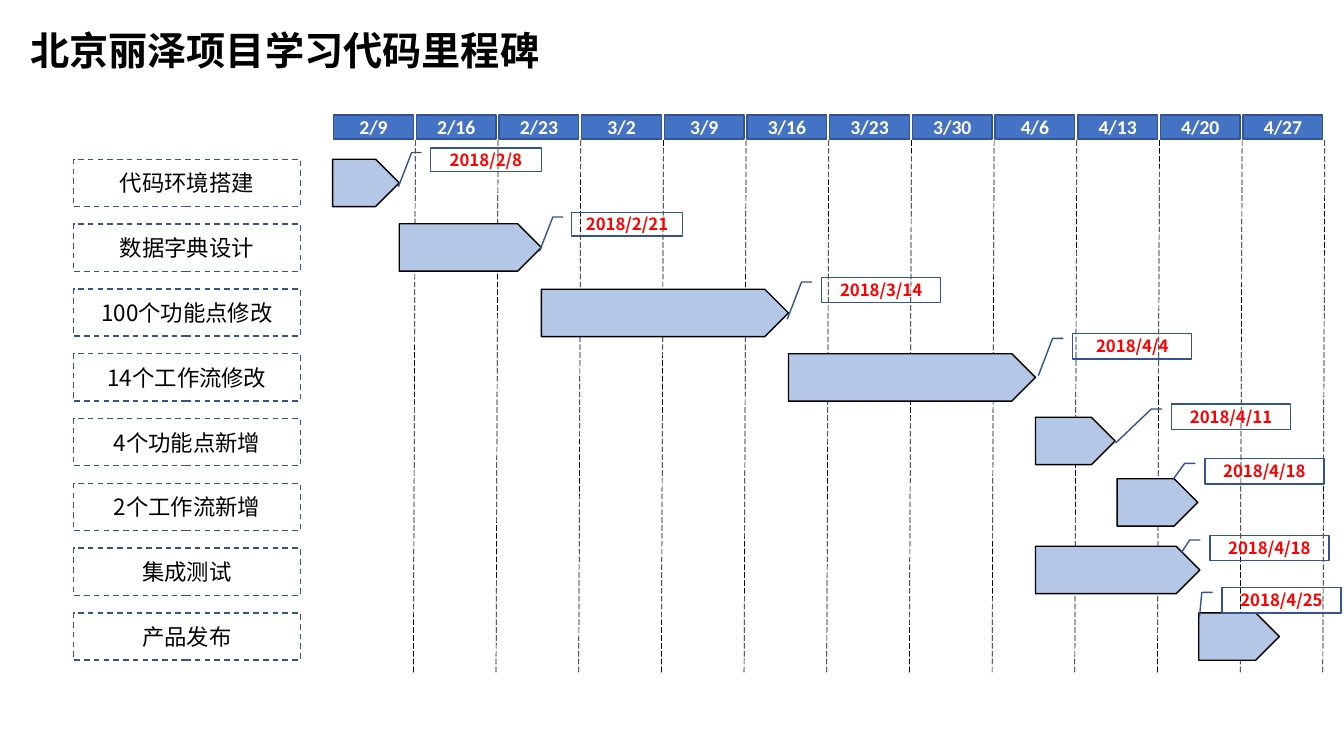
"""Draw the milestone chart of the code study project."""
from dataclasses import dataclass

from lxml.etree import SubElement as Sub
from pptx import Presentation
from pptx.dml.color import RGBColor as Rgb
from pptx.enum.dml import MSO_LINE as Dash
from pptx.enum.shapes import MSO_CONNECTOR as Link, MSO_SHAPE as Kind
from pptx.enum.text import MSO_ANCHOR as Anchor, PP_ALIGN as Align
from pptx.oxml.ns import qn
from pptx.util import Inches, Pt

INK = {"black": "000000", "white": "FFFFFF", "head": "4472C4",
       "edge": "325491", "bar": "B4C7E7", "date": "FF0000"}
SANS = "Noto Sans CJK SC"
WEEKS = ["2/9", "2/16", "2/23", "3/2", "3/9", "3/16",
         "3/23", "3/30", "4/6", "4/13", "4/20", "4/27"]
PITCH = 0.82
ROW = 4.5 / 7
TALL = 0.47


@dataclass
class Task:
    """Hold one task: its bar, its date note and the tip of the note's line."""
    name: str
    left: float
    top: float
    width: float
    date: str
    note: tuple[float, float]
    tip: tuple[float, float] = (1.67, -0.29)
    size: tuple[float, float] = (1.18, 0.25)


TASKS = [
    Task("代码环境搭建", 3.3, 1.58, 0.66, "2018/2/8", (4.27, 1.47), size=(1.1, 0.23)),
    Task("数据字典设计", 3.96, 2.22, 1.41, "2018/2/21", (5.67, 2.11), size=(1.1, 0.23)),
    Task("100个功能点修改", 5.37, 2.87, 2.45, "2018/3/14", (8.15, 2.75)),
    Task("14个工作流修改", 7.82, 3.51, 2.45, "2018/4/4", (10.64, 3.31)),
    Task("4个功能点新增", 10.27, 4.14, 0.79, "2018/4/11", (11.62, 4.01), (1.54, -0.47)),
    Task("2个工作流新增", 11.08, 4.75, 0.8, "2018/4/18", (11.95, 4.55), (0.84, -0.27)),
    Task("集成测试", 10.27, 5.42, 1.63, "2018/4/18", (12, 5.31), (0.69, -0.24)),
    Task("产品发布", 11.89, 6.08, 0.8, "2018/4/25", (12.12, 5.83), (1.18, -0.19)),
]


def write(shape, text: str, *, size: float, color: str = "black", font: str = SANS,
          bold: bool = False, align=Align.CENTER, anchor=Anchor.MIDDLE,
          side: float = 0, space: float = 1) -> None:
    """Put one formatted line of text into a shape."""
    frame = shape.text_frame
    frame.word_wrap = True
    frame.vertical_anchor = anchor
    frame.margin_left = frame.margin_right = Inches(side)
    frame.margin_top = frame.margin_bottom = 0
    para = frame.paragraphs[0]
    para.alignment = align
    para.line_spacing = space
    run = para.add_run()
    run.text = text
    run.font.size = Pt(size)
    run.font.bold = bold
    run.font.color.rgb = Rgb.from_string(INK[color])
    run.font.name = font
    Sub(run.font._element, qn("a:ea"), typeface=font)


def draw(slide, kind: Kind, left: float, top: float, width: float, height: float,
         *, fill: str = "", line: str = "edge", dash=None):
    """Add a preset shape with its fill and outline."""
    shape = slide.shapes.add_shape(
        kind, Inches(left), Inches(top), Inches(width), Inches(height))
    shape.shadow.inherit = False
    if fill:
        shape.fill.solid()
        shape.fill.fore_color.rgb = Rgb.from_string(INK[fill])
    else:
        shape.fill.background()
    shape.line.color.rgb = Rgb.from_string(INK[line])
    shape.line.width = Pt(1)
    if dash:
        shape.line.dash_style = dash
    return shape


def rule(slide, left: float) -> None:
    """Add one dashed week line."""
    line = slide.shapes.add_connector(
        Link.STRAIGHT, Inches(left), Inches(1.39), Inches(left - 0.02), Inches(6.69))
    line.line.color.rgb = Rgb.from_string(INK["black"])
    line.line.width = Pt(0.5)
    line.line.dash_style = Dash.LONG_DASH
    Sub(line._element.spPr, qn("a:effectLst"))


def plot(slide, row: int, task: Task) -> None:
    """Draw the label, bar and date note of a task."""
    label = draw(slide, Kind.RECTANGLE, 0.73, 1.58 + row * ROW, 2.25, TALL, dash=Dash.DASH)
    write(label, task.name, size=16)
    draw(slide, Kind.PENTAGON, task.left, task.top, task.width, TALL,
         fill="bar", line="black")
    note = draw(slide, Kind.LINE_CALLOUT_2, *task.note, *task.size)
    for spot, value in enumerate((0.19, -0.08, 0.19, -0.17, *task.tip)):
        note.adjustments[spot] = value
    write(note, task.date, size=12, color="date", bold=True)


def main() -> None:
    """Build and save the slide."""
    deck = Presentation()
    deck.slide_width, deck.slide_height = Inches(13.33), Inches(7.5)
    slide = deck.slides.add_slide(deck.slide_layouts[5])
    title = slide.shapes.title
    title.left, title.top = Inches(0.2), Inches(0.31)
    title.width, title.height = Inches(8.63), Inches(0.64)
    write(title, "北京丽泽项目学习代码里程碑", size=28, bold=True, align=Align.LEFT,
          anchor=Anchor.TOP, side=0.1, space=0.9)
    for col, week in enumerate(WEEKS):
        rule(slide, 4.12 + col * PITCH)
        head = draw(slide, Kind.RECTANGLE, 3.31 + col * PITCH, 1.14, 0.79, 0.24, fill="head")
        write(head, week, size=14, color="white", font="Calibri", bold=True)
    for row, task in enumerate(TASKS):
        plot(slide, row, task)
    deck.save("out.pptx")


if __name__ == "__main__":
    main()
